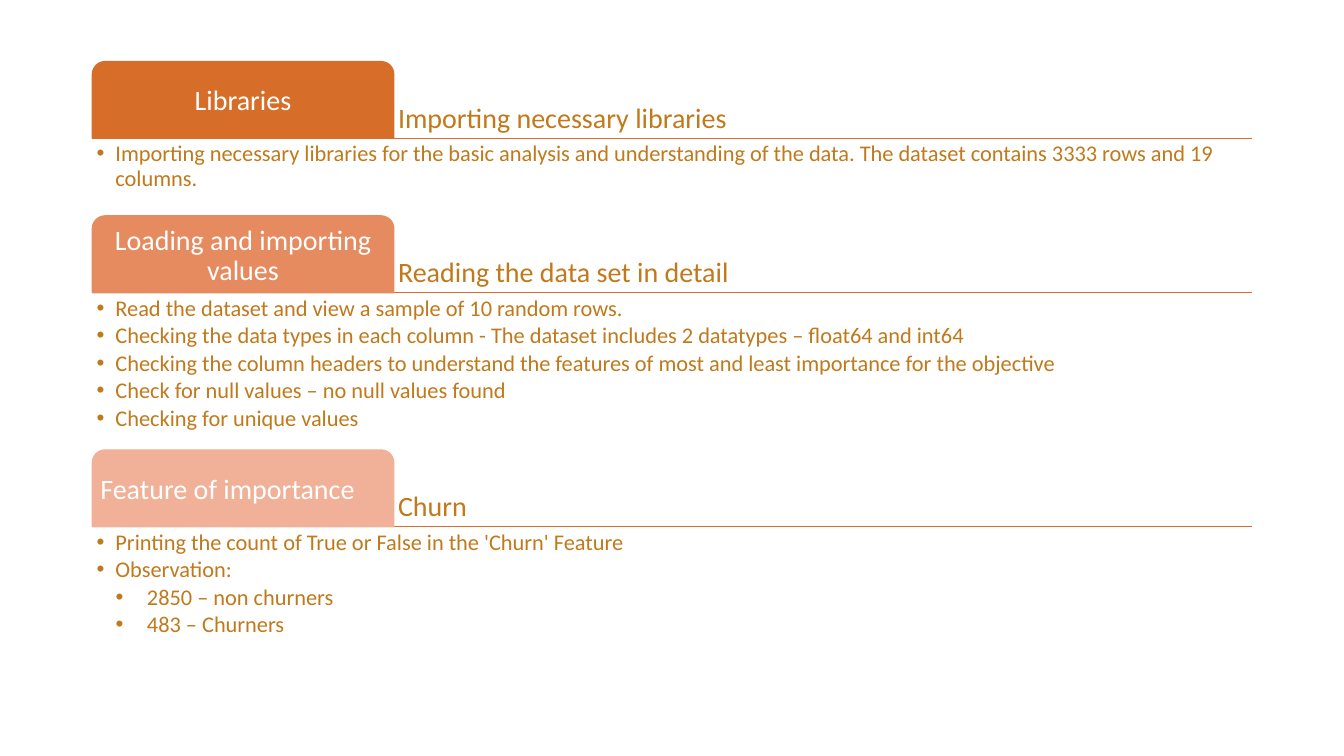
from dataclasses import dataclass

from lxml.etree import SubElement
from pptx import Presentation
from pptx.dml.color import RGBColor
from pptx.enum.shapes import MSO_CONNECTOR, MSO_SHAPE
from pptx.enum.text import MSO_ANCHOR, MSO_AUTO_SIZE, PP_ALIGN
from pptx.oxml.ns import qn
from pptx.util import Pt

# Each section: tab label, heading, list height, list of (level, text)
SECTIONS = [
    ("Libraries", "Importing necessary libraries", 52.6, [
        (1, "Importing necessary libraries for the basic analysis and understanding "
            "of the data. The dataset contains 3333 rows and 19 columns."),
    ]),
    ("Loading and importing values", "Reading the data set in detail", 109.6, [
        (1, "Read the dataset and view a sample of 10 random rows."),
        (1, "Checking the data types in each column - The dataset includes 2 datatypes "
            "– float64 and int64"),
        (1, "Checking the column headers to understand the features of most and least "
            "importance for the objective"),
        (1, "Check for null values – no null values found"),
        (1, "Checking for unique values"),
    ]),
    ("Feature of importance\t", "Churn", 109.6, [
        (1, "Printing the count of True or False in the 'Churn' Feature"),
        (1, "Observation:"),
        (2, "\t2850 – non churners"),
        (2, "\t483 – Churners"),
    ]),
]


@dataclass(frozen=True)
class Theme:
    font: str = "Calibri"
    text: str = "C0791B"
    label: str = "FFFFFF"
    rule: str = "D66E29"
    tabs: tuple = ("D66E29", "E58B5F", "F1B098")
    heading_size: int = 20
    list_size: int = 16


THEME = Theme()
LEFT, TOP, WIDTH = 66, 44, 828
TAB_WIDTH, TAB_HEIGHT, SECTION_GAP = 215.3, 54.8, 2.8
INSET, INDENT, BULLET_GAP = 3, 13.5, 2.4
COMPARISON_LAYOUT = 4
LIST_PLACEHOLDERS = (1, 2, 4)


def rgb(value):
    return RGBColor.from_string(value)


def place(box, left, top, width, height):
    box.left, box.top, box.width, box.height = map(Pt, (left, top, width, height))


def write(box, lines, size, color, anchor, align=PP_ALIGN.LEFT):
    frame = box.text_frame
    frame.text = "\n".join(lines)
    frame.word_wrap = True
    frame.auto_size = MSO_AUTO_SIZE.NONE
    frame.vertical_anchor = anchor
    frame.margin_left = frame.margin_right = Pt(INSET)
    frame.margin_top = frame.margin_bottom = Pt(INSET)
    for para in frame.paragraphs:
        para.alignment = align
        para.line_spacing = 0.9
        para.space_before = Pt(0)
        for span in para.runs:
            span.font.name = THEME.font
            span.font.size = Pt(size)
            span.font.bold = False
            span.font.color.rgb = rgb(color)


def add_bullet(para, level):
    para.level = level
    properties = para._p.get_or_add_pPr()
    properties.set("marL", str(Pt(INDENT * level)))
    properties.set("indent", str(-Pt(INDENT)))
    color = SubElement(properties, qn("a:buClr"))
    SubElement(color, qn("a:srgbClr"), val=THEME.text)
    SubElement(properties, qn("a:buFont"), typeface="Arial")
    SubElement(properties, qn("a:buChar"), char="•")


def add_rule(page, y):
    rule = page.shapes.add_connector(
        MSO_CONNECTOR.STRAIGHT, Pt(LEFT), Pt(y), Pt(LEFT + WIDTH), Pt(y))
    rule.line.color.rgb = rgb(THEME.rule)
    rule.line.width = Pt(1)
    SubElement(rule._element.spPr, qn("a:effectLst"))


def add_tab(page, label, top, color):
    tab = page.shapes.add_shape(MSO_SHAPE.ROUND_2_SAME_RECTANGLE, Pt(LEFT), Pt(top),
                                Pt(TAB_WIDTH), Pt(TAB_HEIGHT))
    tab.shadow.inherit = False
    tab.fill.solid()
    tab.fill.fore_color.rgb = rgb(color)
    tab.line.color.rgb = rgb(color)
    tab.line.width = Pt(1)
    write(tab, [label], THEME.heading_size, THEME.label, MSO_ANCHOR.MIDDLE,
          PP_ALIGN.CENTER)


def fill_heading(box, heading, top):
    place(box, LEFT + TAB_WIDTH, top, WIDTH - TAB_WIDTH, TAB_HEIGHT)
    write(box, [heading], THEME.heading_size, THEME.text, MSO_ANCHOR.BOTTOM)


def fill_list(box, items, top, height):
    place(box, LEFT, top, WIDTH, height)
    write(box, [text for _, text in items], THEME.list_size, THEME.text, MSO_ANCHOR.TOP)
    for index, (para, (level, _)) in enumerate(zip(box.text_frame.paragraphs, items)):
        para.space_before = Pt(BULLET_GAP if index else 0)
        add_bullet(para, level)


def main():
    deck = Presentation()
    deck.slide_width, deck.slide_height = Pt(960), Pt(540)
    page = deck.slides.add_slide(deck.slide_layouts[COMPARISON_LAYOUT])
    placeholders = {box.placeholder_format.idx: box for box in page.placeholders}

    top = TOP
    for index, (label, heading, list_height, items) in enumerate(SECTIONS):
        rule_y = top + TAB_HEIGHT
        add_rule(page, rule_y)
        add_tab(page, label, top, THEME.tabs[index])
        heading_box = page.shapes.add_textbox(0, 0, 0, 0) if index else page.shapes.title
        fill_heading(heading_box, heading, top)
        fill_list(placeholders[LIST_PLACEHOLDERS[index]], items, rule_y, list_height)
        top = rule_y + list_height + SECTION_GAP

    for box in list(page.placeholders):
        if not box.text_frame.text:
            box._element.getparent().remove(box._element)
    deck.save("out.pptx")


if __name__ == "__main__":
    main()
